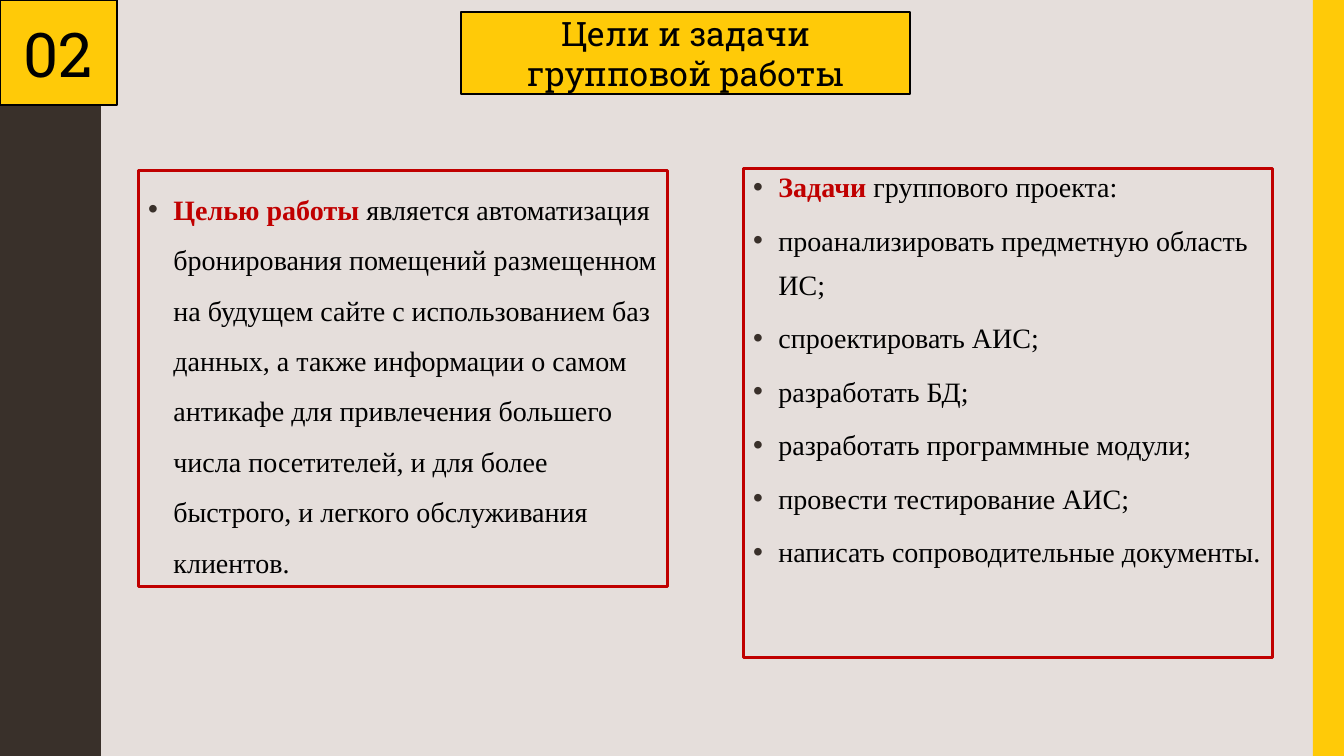
from dataclasses import dataclass

import pptx
import pptx.dml.color
import pptx.enum.shapes
import pptx.enum.text
import pptx.oxml
import pptx.oxml.ns
import pptx.util
from pptx.util import Inches

TITLE = "Цели и задачи групповой работы"
NUMBER = "02"
GOAL = [
    (1.5, [("Целью работы ", True),
           ("является автоматизация бронирования помещений размещенном на будущем сайте "
            "с использованием баз данных, а также информации о самом антикафе для "
            "привлечения большего числа посетителей, и для более быстрого, и легкого "
            "обслуживания клиентов.", False)]),
]
TASKS = [
    "проанализировать предметную область ИС;",
    "спроектировать АИС;",
    "разработать БД;",
    "разработать программные модули;",
    "провести тестирование АИС;",
    "написать сопроводительные документы.",
]
TASK_LIST = [(0.9, [("Задачи ", True), ("группового проекта:", False)])]
TASK_LIST += [(1.3, [(task, False)]) for task in TASKS]

TITLE_BOX = (4.57, 0.12, 4.46, 0.81)
NUMBER_BOX = (0, 0, 1.16, 1.04)
GOAL_BOX = (1.37, 1.69, 5.25, 4.13)
TASKS_BOX = (7.37, 1.67, 5.25, 4.85)
WIDTH, HEIGHT = 13.33, 7.5
STRIPE_WIDTH = 0.31
WAVE_PERIOD = 1.5
HALF_WAVE = [
    (0.78, 0), (0.78, 0.07), (0.79, 0.14), (0.8, 0.2), (0.81, 0.25),
    (0.83, 0.29), (0.85, 0.33), (0.87, 0.38), (0.89, 0.42), (0.91, 0.46),
    (0.93, 0.5), (0.95, 0.55), (0.96, 0.61), (0.97, 0.68), (0.97, 0.75),
]


@dataclass(frozen=True)
class Theme:
    background: str = "E5DEDB"
    dark: str = "39302A"
    yellow: str = "FFCA08"
    red: str = "C00000"
    black: str = "000000"
    heading_font: str = "Roboto Slab"
    body_font: str = "Times New Roman"
    number_size: float = 44
    title_size: float = 24
    body_size: float = 20
    heading_line: float = 1.5
    body_line: float = 2.25


theme = Theme()


def rgb(value):
    return pptx.dml.color.RGBColor.from_string(value)


def place(shape, box):
    shape.left, shape.top, shape.width, shape.height = map(Inches, box)


def paint(shape, color):
    shape.shadow.inherit = False
    shape.fill.solid()
    shape.fill.fore_color.rgb = rgb(color)
    shape.line.fill.background()


def outline(shape, color, width):
    shape.line.color.rgb = rgb(color)
    shape.line.width = pptx.util.Pt(width)


def add_run(paragraph, text, font, size, color, bold=False):
    run = paragraph.add_run()
    run.text = text
    run.font.name = font
    run.font.size = pptx.util.Pt(size)
    run.font.color.rgb = rgb(color)
    run.font.bold = bold


def prepare_frame(shape, anchor):
    frame = shape.text_frame
    frame.word_wrap = True
    frame.auto_size = pptx.enum.text.MSO_AUTO_SIZE.NONE
    frame.vertical_anchor = anchor
    return frame


def format_heading(shape, text, size):
    paint(shape, theme.yellow)
    outline(shape, theme.black, theme.heading_line)
    frame = prepare_frame(shape, pptx.enum.text.MSO_ANCHOR.MIDDLE)
    paragraph = frame.paragraphs[0]
    paragraph.alignment = pptx.enum.text.PP_ALIGN.CENTER
    add_run(paragraph, text, theme.heading_font, size, theme.black)


def add_bullet(paragraph):
    properties = paragraph._p.get_or_add_pPr()
    properties.set("marL", str(Inches(0.25)))
    properties.set("indent", str(Inches(-0.25)))
    namespace = pptx.oxml.ns.nsdecls("a")
    for xml in (
        f'<a:buClr {namespace}><a:srgbClr val="{theme.dark}"/></a:buClr>',
        f'<a:buFont {namespace} typeface="Arial"/>',
        f'<a:buChar {namespace} char="•"/>',
    ):
        properties.append(pptx.oxml.parse_xml(xml))


def fill_list(shape, box, items):
    place(shape, box)
    outline(shape, theme.red, theme.body_line)
    frame = prepare_frame(shape, pptx.enum.text.MSO_ANCHOR.TOP)
    for index, (spacing, runs) in enumerate(items):
        paragraph = frame.add_paragraph() if index else frame.paragraphs[0]
        add_bullet(paragraph)
        paragraph.line_spacing = spacing
        paragraph.space_before = pptx.util.Pt(7 if index else 0)
        paragraph.space_after = pptx.util.Pt(0)
        for text, key in runs:
            color = theme.red if key else theme.black
            add_run(paragraph, text, theme.body_font, theme.body_size, color, key)


def add_wave(slide):
    mirrored = [(x, WAVE_PERIOD - y) for x, y in reversed(HALF_WAVE[:-1])]
    edge = [
        (x, y + period * WAVE_PERIOD)
        for period in range(round(HEIGHT / WAVE_PERIOD))
        for x, y in HALF_WAVE + mirrored
    ]
    builder = slide.shapes.build_freeform(0, 0, scale=Inches(1))
    builder.add_line_segments(edge + [(0, HEIGHT)], close=True)
    paint(builder.convert_to_shape(), theme.dark)


def add_rectangle(slide, box):
    rectangle = pptx.enum.shapes.MSO_SHAPE.RECTANGLE
    return slide.shapes.add_shape(rectangle, *map(Inches, box))


def main():
    presentation = pptx.Presentation()
    presentation.slide_width = Inches(WIDTH)
    presentation.slide_height = Inches(HEIGHT)
    slide = presentation.slides.add_slide(presentation.slide_layouts[3])
    slide.background.fill.solid()
    slide.background.fill.fore_color.rgb = rgb(theme.background)

    add_wave(slide)
    paint(add_rectangle(slide, (WIDTH - STRIPE_WIDTH, 0, STRIPE_WIDTH, HEIGHT)), theme.yellow)
    fill_list(slide.placeholders[1], GOAL_BOX, GOAL)
    fill_list(slide.placeholders[2], TASKS_BOX, TASK_LIST)
    format_heading(add_rectangle(slide, NUMBER_BOX), NUMBER, theme.number_size)
    place(slide.shapes.title, TITLE_BOX)
    format_heading(slide.shapes.title, TITLE, theme.title_size)
    presentation.save("out.pptx")


if __name__ == "__main__":
    main()
